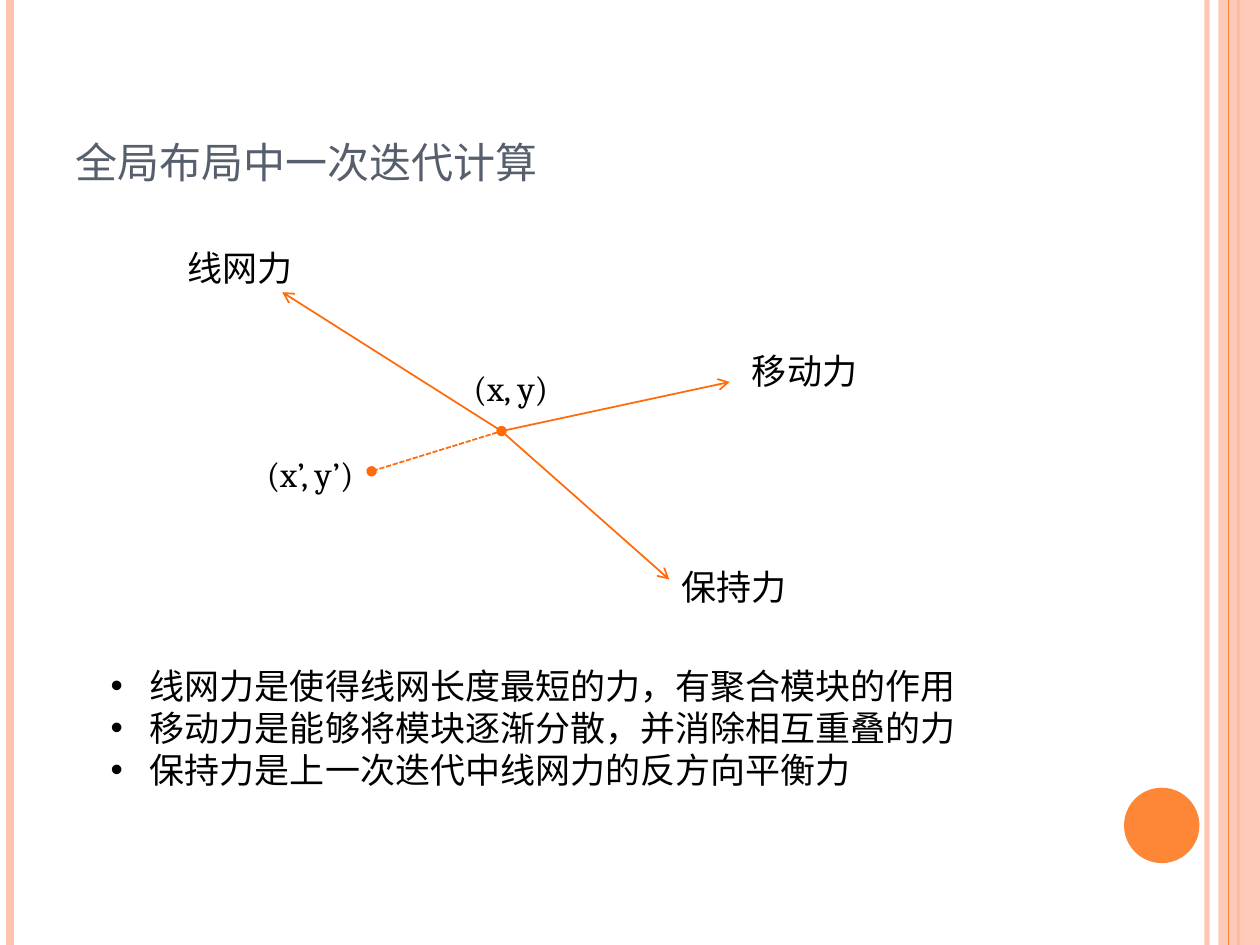
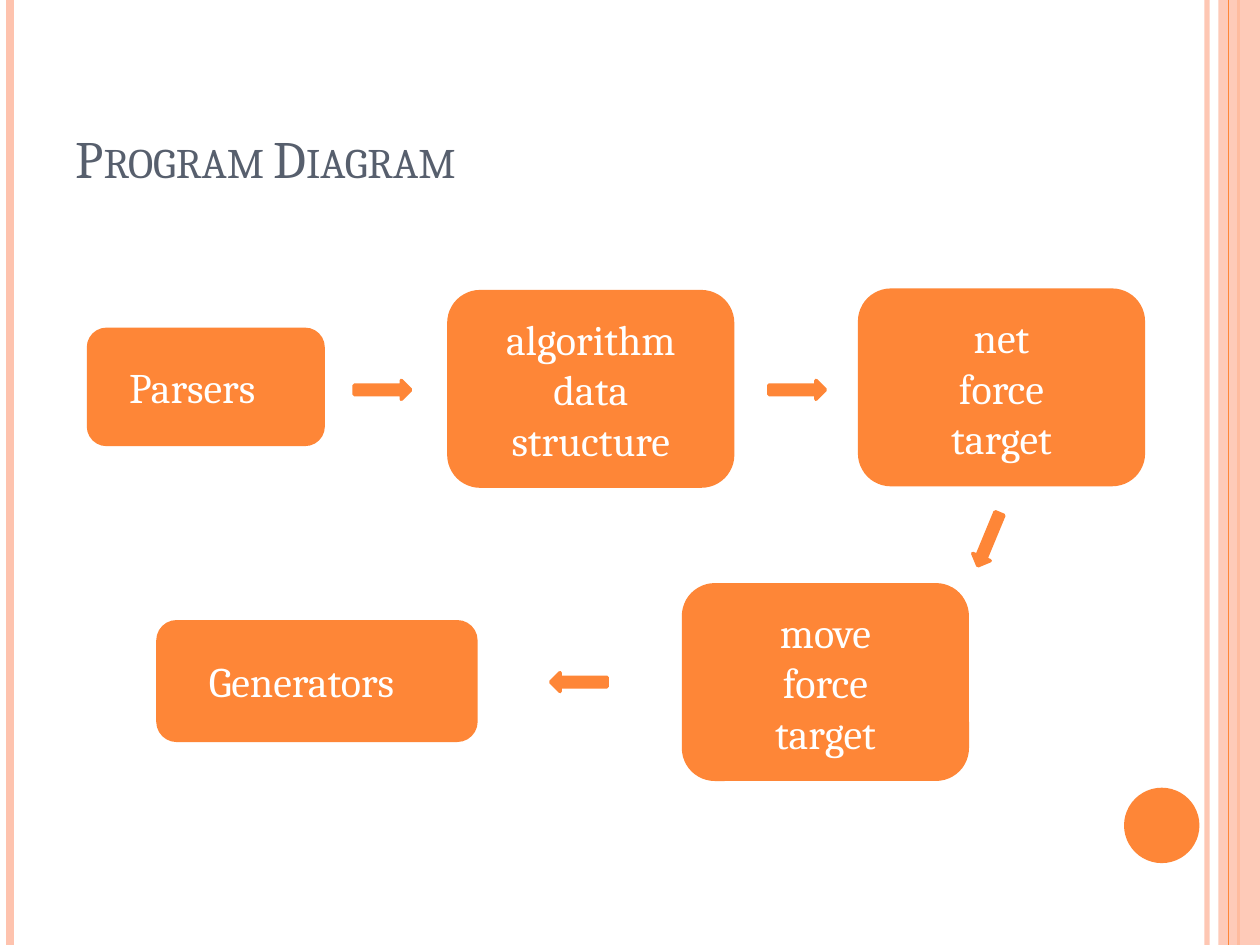
from lxml.etree import SubElement
from pptx import Presentation
from pptx.dml.color import RGBColor
from pptx.enum.dml import MSO_LINE
from pptx.enum.shapes import MSO_CONNECTOR, MSO_SHAPE as Preset
from pptx.enum.text import MSO_ANCHOR as Anchor, PP_ALIGN as Align
from pptx.oxml.ns import qn
from pptx.util import Cm, Pt

ORANGE = RGBColor(0xFE, 0x86, 0x37)
DEEP_ORANGE = RGBColor(0xFF, 0x6B, 0x0A)
PEACH = RGBColor(0xFE, 0xC3, 0xAE)
SLATE = RGBColor(0x57, 0x5F, 0x6D)
BLACK = RGBColor(0, 0, 0)
WHITE = RGBColor(0xFF, 0xFF, 0xFF)
FONT = "Cambria"
WIDTH, HEIGHT = 25.4, 19.05  # all lengths in cm

# Content: forces on a module
FORCES_TITLE = "全局布局中一次迭代计算"
MODULE = (10.11, 8.69)
PREVIOUS = (7.49, 9.5)
FORCE_TIPS = [(5.69, 5.89), (14.71, 7.7), (13.49, 11.68)]
LABELS = [  # text, left, top, width
    ("线网力", 3.53, 4.85, 4.09),
    ("移动力", 14.91, 6.93, 4.6),
    ("保持力", 13.49, 11.28, 4.09),
    ("(x, y)", 9.3, 7.26, 3.4),
    ("(x’, y’)", 5.13, 8.99, 5.54),
]
FORCE_NOTES = [
    "线网力是使得线网长度最短的力，有聚合模块的作用",
    "移动力是能够将模块逐渐分散，并消除相互重叠的力",
    "保持力是上一次迭代中线网力的反方向平衡力",
]

# Content: program flow
FLOW_TITLE = "Program Diagram"
STAGE_SIZE = (5.79, 3.99)
STAGES = [  # lines, centre, size, left inset (None: centred text)
    (["Parsers"], (4.15, 7.8), (4.8, 2.39), 0.74),
    (["algorithm", "data", "structure"], (11.91, 7.84), STAGE_SIZE, None),
    (["net", "force", "target"], (20.19, 7.81), STAGE_SIZE, None),
    (["move", "force", "target"], (16.64, 13.75), STAGE_SIZE, None),
    (["Generators"], (6.39, 13.73), (6.48, 2.46), 0.94),
]
ARROW_SIZE = (1.14, 0.38)
FLOW_ARROWS = [  # centre, rotation
    ((7.71, 7.86), 0),
    ((16.07, 7.86), 0),
    ((19.93, 10.88), 112.5),
    ((11.67, 13.75), 180),
]


def write(frame, lines, size=20, color=BLACK, align=None, anchor=Anchor.TOP,
          bullet_indent=None, small_caps=False):
    frame.word_wrap = True
    frame.vertical_anchor = anchor
    for index, line in enumerate(lines):
        para = frame.add_paragraph() if index else frame.paragraphs[0]
        para.alignment = align
        span = para.add_run()
        span.text = line
        span.font.name = FONT
        span.font.size = Pt(size)
        span.font.color.rgb = color
        if small_caps:
            span.font._element.set("cap", "small")
        if bullet_indent:
            props = para._p.get_or_add_pPr()
            props.set("marL", str(Cm(bullet_indent)))
            props.set("indent", str(-Cm(bullet_indent)))
            SubElement(props, qn("a:buFont"), typeface="Arial")
            SubElement(props, qn("a:buChar"), char="•")


def add_text(page, lines, left, top, width, height, **text_format):
    box = page.shapes.add_textbox(Cm(left), Cm(top), Cm(width), Cm(height))
    write(box.text_frame, lines, **text_format)


def set_alpha(owner, percent):
    for color in owner.iter(qn("a:srgbClr")):
        SubElement(color, qn("a:alpha"), val=str(percent * 1000))


def add_line(page, start, end, color, width, dash=None, head=None, tail=None, alpha=None):
    points = [Cm(value) for value in (*start, *end)]
    line = page.shapes.add_connector(MSO_CONNECTOR.STRAIGHT, *points)
    line.line.color.rgb = color
    line.line.width = Pt(width)
    if dash:
        line.line.dash_style = dash
    outline = line.line._get_or_add_ln()
    for tag, kind in (("a:headEnd", head), ("a:tailEnd", tail)):
        if kind:
            SubElement(outline, qn(tag), type=kind)
    if alpha:
        set_alpha(outline, alpha)
    SubElement(line._element.spPr, qn("a:effectLst"))


def add_solid(page, preset, center, size, color=ORANGE, outline=None):
    (x, y), (width, height) = center, size
    shape = page.shapes.add_shape(preset, Cm(x - width / 2), Cm(y - height / 2),
                                  Cm(width), Cm(height))
    shape.shadow.inherit = False
    shape.fill.solid()
    shape.fill.fore_color.rgb = color
    if outline:
        shape.line.color.rgb = color
        shape.line.width = Pt(outline)
    else:
        shape.line.fill.background()
    return shape


def add_rule(page, x, color, width, alpha=None):
    add_line(page, (x, 0), (x, HEIGHT), color, width, alpha=alpha)


def add_page(deck, title_text):
    page = deck.slides.add_slide(deck.slide_layouts[5])
    # Side bands and corner disc
    add_rule(page, 24.33, PEACH, 3, alpha=93)
    add_rule(page, 0.2, PEACH, 4.5)
    add_rule(page, 24.97, ORANGE, 1.5)
    band_width = 0.84
    band = add_solid(page, Preset.RECTANGLE, (WIDTH - band_width / 2, HEIGHT / 2),
                     (band_width, HEIGHT), PEACH)
    set_alpha(band._element.spPr, 87)
    add_rule(page, 24.77, ORANGE, 0.75)
    add_solid(page, Preset.OVAL, (23.42, 16.64), (1.52, 1.52))
    # Title
    title = page.shapes.title
    title.left, title.top, title.width, title.height = Cm(1.27), Cm(0.76), Cm(20.75), Cm(3.18)
    write(title.text_frame, [title_text], size=30, color=SLATE, align=Align.LEFT,
          anchor=Anchor.BOTTOM, small_caps=True)
    return page


def build_forces(deck):
    page = add_page(deck, FORCES_TITLE)
    for tip in FORCE_TIPS:
        add_line(page, MODULE, tip, DEEP_ORANGE, 1, tail="arrow")
    add_line(page, MODULE, PREVIOUS, DEEP_ORANGE, 1, dash=MSO_LINE.SQUARE_DOT,
             head="oval", tail="oval")
    for text, left, top, width in LABELS:
        add_text(page, [text], left, top, width, 1.12)
    add_text(page, FORCE_NOTES, 1.98, 13.28, 19.63, 2.82, bullet_indent=0.79)


def build_flow(deck):
    page = add_page(deck, FLOW_TITLE)
    for lines, center, size, inset in STAGES:
        stage = add_solid(page, Preset.ROUNDED_RECTANGLE, center, size)
        if inset:
            stage.text_frame.margin_left = Cm(inset)
        write(stage.text_frame, lines, size=24, color=WHITE, anchor=Anchor.MIDDLE,
              align=Align.LEFT if inset else Align.CENTER)
    for center, rotation in FLOW_ARROWS:
        arrow = add_solid(page, Preset.RIGHT_ARROW, center, ARROW_SIZE, outline=2)
        arrow.rotation = rotation


def main():
    deck = Presentation()
    deck.slide_width, deck.slide_height = Cm(WIDTH), Cm(HEIGHT)
    build_forces(deck)
    build_flow(deck)
    deck.save("out.pptx")


if __name__ == "__main__":
    main()
